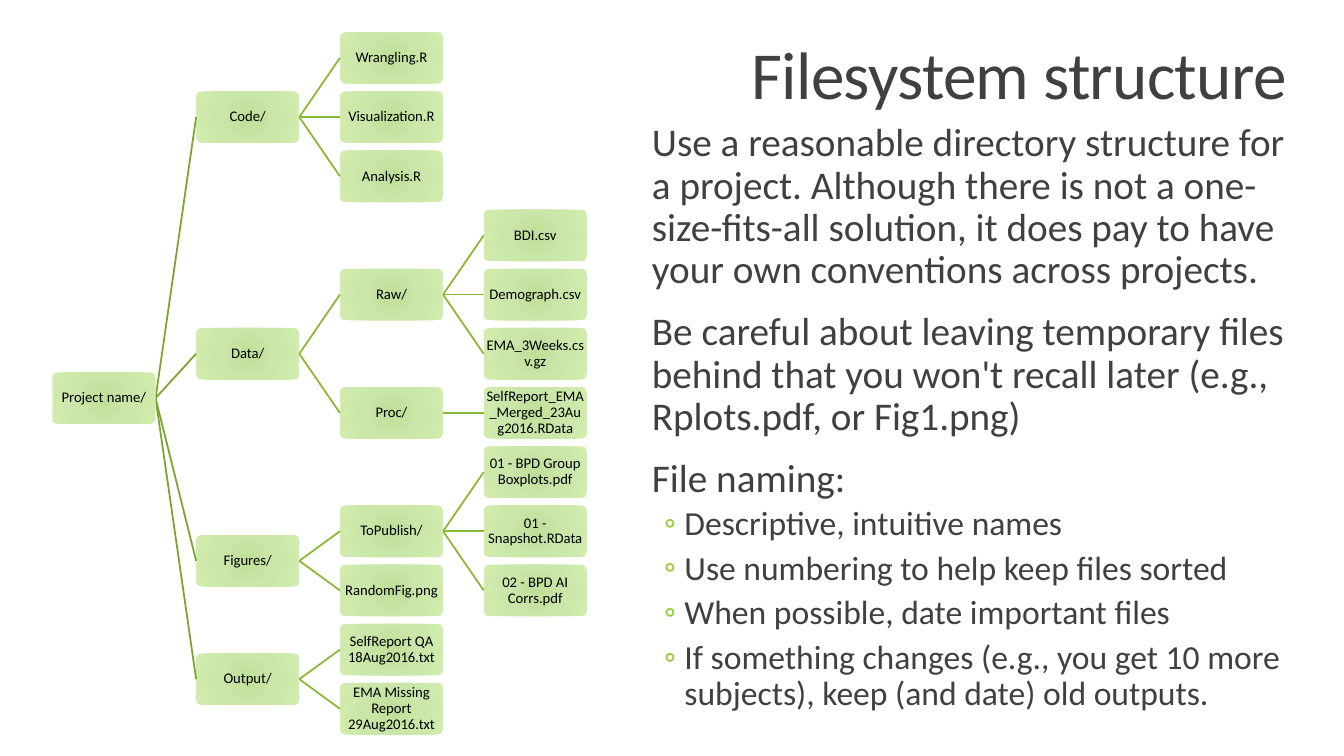
from dataclasses import dataclass

from lxml import etree
from pptx import Presentation
from pptx.dml.color import RGBColor
from pptx.enum.shapes import MSO_CONNECTOR, MSO_SHAPE
from pptx.enum.text import MSO_ANCHOR, PP_ALIGN
from pptx.oxml.ns import qn
from pptx.util import Cm, Pt

STRAIGHT = MSO_CONNECTOR.STRAIGHT
ROUNDED = MSO_SHAPE.ROUNDED_RECTANGLE
LEFT, CENTER, RIGHT = PP_ALIGN.LEFT, PP_ALIGN.CENTER, PP_ALIGN.RIGHT
TOP, MIDDLE, BOTTOM = MSO_ANCHOR.TOP, MSO_ANCHOR.MIDDLE, MSO_ANCHOR.BOTTOM


@dataclass(frozen=True)
class Theme:
    """Colours and type sizes of the slide."""
    font: str = "Calibri"
    text: str = "404040"
    node_text: str = "000000"
    bullet: str = "99CB38"
    root_line: str = "7BA32D"
    branch_line: str = "8BB833"
    node_stops: tuple = ((0, "BEDF97"), (45, "CAE6A9"), (100, "D0EDAE"))
    title_size: float = 48
    body_size: float = 28
    bullet_size: float = 24
    node_size: float = 10.5
    line_width: float = 1.25


THEME = Theme()

# A folder holds a list of children; a file holds its row in the tree.
TREE = ("Project name/", [
    ("Code/", [("Wrangling.R", 0), ("Visualization.R", 1), ("Analysis.R", 2)]),
    ("Data/", [
        ("Raw/", [("BDI.csv", 3), ("Demograph.csv", 4), ("EMA_3Weeks.csv.gz", 5)]),
        ("Proc/", [("SelfReport_EMA_Merged_23Aug2016.RData", 6)]),
    ]),
    ("Figures/", [
        ("ToPublish/", [("01 - BPD Group Boxplots.pdf", 7), ("01 - Snapshot.RData", 8),
                        ("02 - BPD AI Corrs.pdf", 9)]),
        ("RandomFig.png", 9),
    ]),
    ("Output/", [("SelfReport QA 18Aug2016.txt", 10),
                 ("EMA Missing Report 29Aug2016.txt", 11)]),
])
COLUMNS, ROWS = 4, 12
NODE_W, NODE_H = Cm(2.6), Cm(1.3)

ADVICE = [
    "Use a reasonable directory structure for a project. Although there is not a "
    "one-size-fits-all solution, it does pay to have your own conventions across projects.",
    "Be careful about leaving temporary files behind that you won't recall later "
    "(e.g., Rplots.pdf, or Fig1.png)",
    "File naming:",
]
NAMING_RULES = [
    "Descriptive, intuitive names",
    "Use numbering to help keep files sorted",
    "When possible, date important files",
    "If something changes (e.g., you get 10 more subjects), keep (and date) old outputs.",
]


def set_frame(tf, anchor, inset_x, inset_y):
    """Wrap a text frame and set its anchor and insets."""
    tf.word_wrap = True
    tf.vertical_anchor = anchor
    tf.margin_left = tf.margin_right = inset_x
    tf.margin_top = tf.margin_bottom = inset_y


def add_run(p, text, size, color, align=LEFT, spacing=0.9):
    """Add a styled run to a paragraph and return it."""
    p.alignment = align
    p.line_spacing = spacing
    r = p.add_run()
    r.text = text
    r.font.name = THEME.font
    r.font.size = Pt(size)
    r.font.color.rgb = RGBColor.from_string(color)
    return r


def fill_radial(sp, stops):
    """Give a shape a circular gradient."""
    sp.fill.gradient()
    grad = sp._element.spPr.find(qn("a:gradFill"))
    for child in list(grad):
        grad.remove(child)
    stop_list = etree.SubElement(grad, qn("a:gsLst"))
    for position, color in stops:
        stop = etree.SubElement(stop_list, qn("a:gs"), pos=str(position * 1000))
        etree.SubElement(stop, qn("a:srgbClr"), val=color)
    circle = etree.SubElement(grad, qn("a:path"), path="circle")
    etree.SubElement(circle, qn("a:fillToRect"), {side: "100000" for side in "ltrb"})


def add_node(s, x, y, name):
    """Draw one file or folder box."""
    sp = s.shapes.add_shape(ROUNDED, x, y, NODE_W, NODE_H)
    sp.adjustments[0] = 0.1
    sp.shadow.inherit = False
    sp.line.fill.background()
    fill_radial(sp, THEME.node_stops)
    set_frame(sp.text_frame, MIDDLE, Cm(0.03), Cm(0.03))
    add_run(sp.text_frame.paragraphs[0], name, THEME.node_size, THEME.node_text, CENTER)


def add_branch(s, x1, y1, x2, y2, color):
    """Draw the line from a folder to one of its children."""
    line = s.shapes.add_connector(STRAIGHT, x1, y1, x2, y2)
    line.line.color.rgb = RGBColor.from_string(color)
    line.line.width = Pt(THEME.line_width)
    etree.SubElement(line._element.spPr, qn("a:effectLst"))


def add_tree(s, left, top, width, height):
    """Draw the directory tree, each folder centred on its first and last child."""
    column_step = (width - NODE_W) // (COLUMNS - 1)
    row_step = (height - NODE_H) / (ROWS - 1)

    def place(node, depth):
        name, content = node
        x = left + depth * column_step
        if isinstance(content, int):
            y = round(top + content * row_step)
        else:
            tops = [place(child, depth + 1) for child in content]
            y = (tops[0] + tops[-1]) // 2
            color = THEME.branch_line if depth else THEME.root_line
            for child_y in tops:
                add_branch(s, x + NODE_W, y + NODE_H // 2,
                           x + column_step, child_y + NODE_H // 2, color)
        add_node(s, x, y, name)
        return y

    place(TREE, 0)


def add_title(s, left, top, width, height):
    """Write the right-aligned title."""
    tf = s.shapes.add_textbox(left, top, width, height).text_frame
    set_frame(tf, BOTTOM, Cm(0.25), Cm(0.13))
    r = add_run(tf.paragraphs[0], "Filesystem structure", THEME.title_size,
                THEME.text, RIGHT, 0.85)
    r.font._element.set("spc", "-50")


def set_bullet(p):
    """Give a paragraph a hanging ring bullet."""
    p.level = 1
    pPr = p._p.get_or_add_pPr()
    pPr.set("marL", str(Cm(1.07)))
    pPr.set("indent", str(-Cm(0.51)))
    color = etree.SubElement(pPr, qn("a:buClr"))
    etree.SubElement(color, qn("a:srgbClr"), val=THEME.bullet)
    etree.SubElement(pPr, qn("a:buFont"), typeface=THEME.font)
    etree.SubElement(pPr, qn("a:buChar"), char="◦")


def add_advice(s, left, top, width, height):
    """Write the advice paragraphs and the bulleted naming rules."""
    tf = s.shapes.add_textbox(left, top, width, height).text_frame
    set_frame(tf, TOP, 0, Cm(0.13))
    for i, text in enumerate(ADVICE + NAMING_RULES):
        p = tf.paragraphs[0] if i == 0 else tf.add_paragraph()
        is_rule = i >= len(ADVICE)
        add_run(p, text, THEME.bullet_size if is_rule else THEME.body_size, THEME.text)
        p.space_before, p.space_after = (Pt(2), Pt(4)) if is_rule else (Pt(12), Pt(2))
        if is_rule:
            set_bullet(p)
        else:
            p._p.get_or_add_pPr().set("marL", str(Cm(0.25)))


def main():
    """Build and save the slide."""
    prs = Presentation()
    prs.slide_width, prs.slide_height = Cm(33.87), Cm(19.05)
    s = prs.slides.add_slide(prs.slide_layouts[6])
    add_title(s, Cm(17.63), Cm(0.79), Cm(15.04), Cm(2.2))
    add_advice(s, Cm(16.18), Cm(2.97), Cm(16.48), Cm(15.54))
    add_tree(s, Cm(1.32), Cm(0.81), Cm(13.47), Cm(17.7))
    prs.save("out.pptx")


main()
